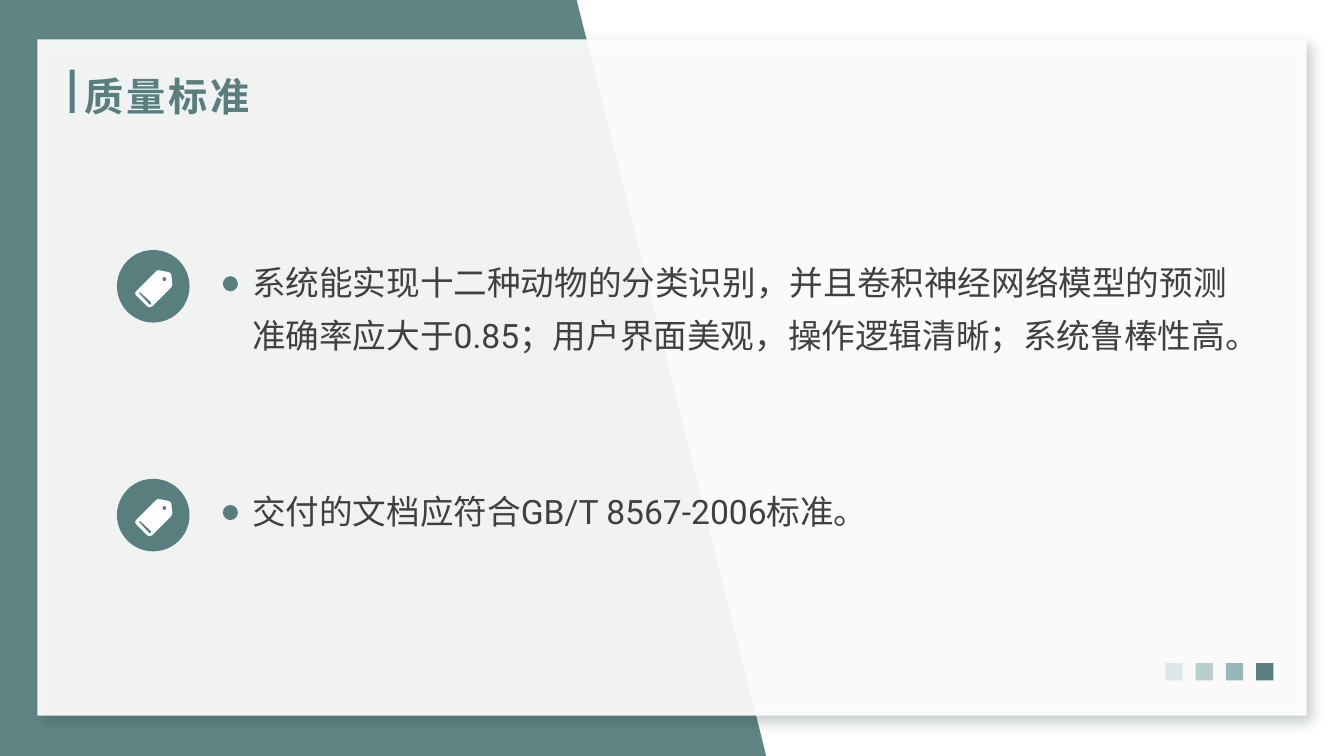
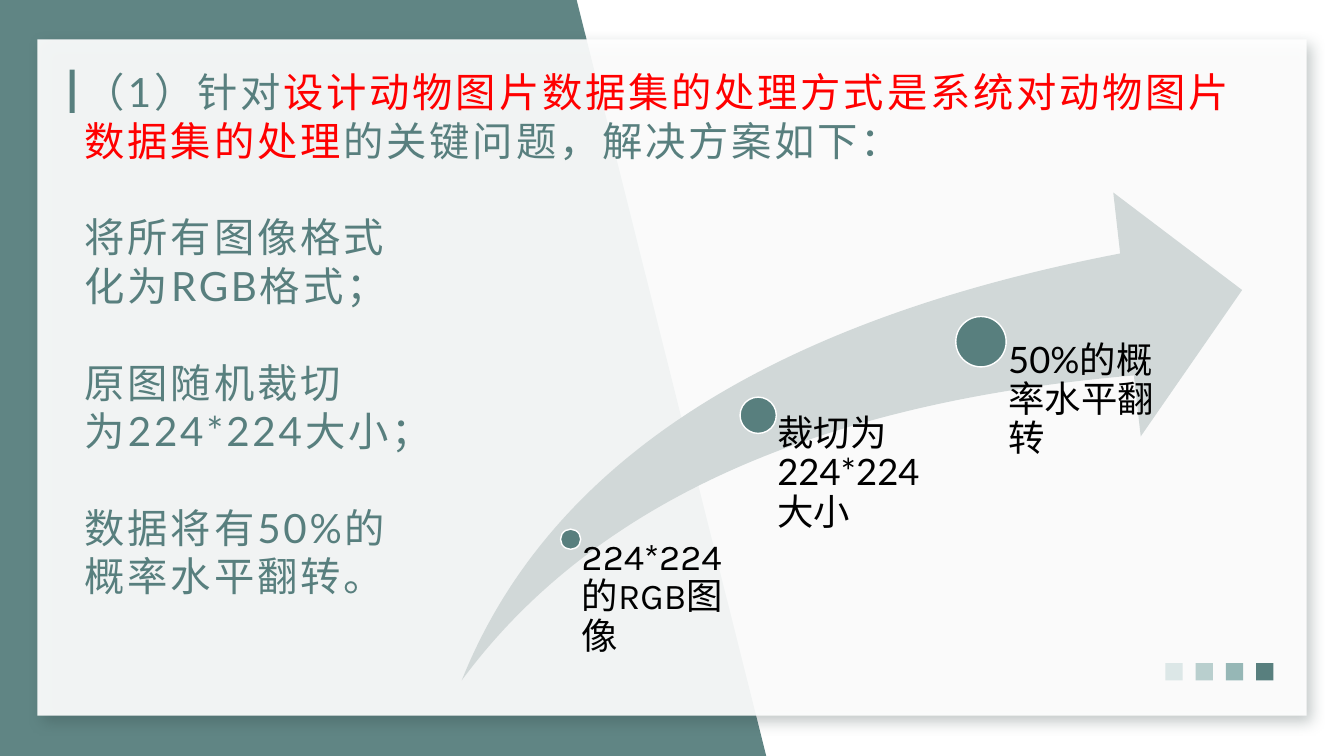
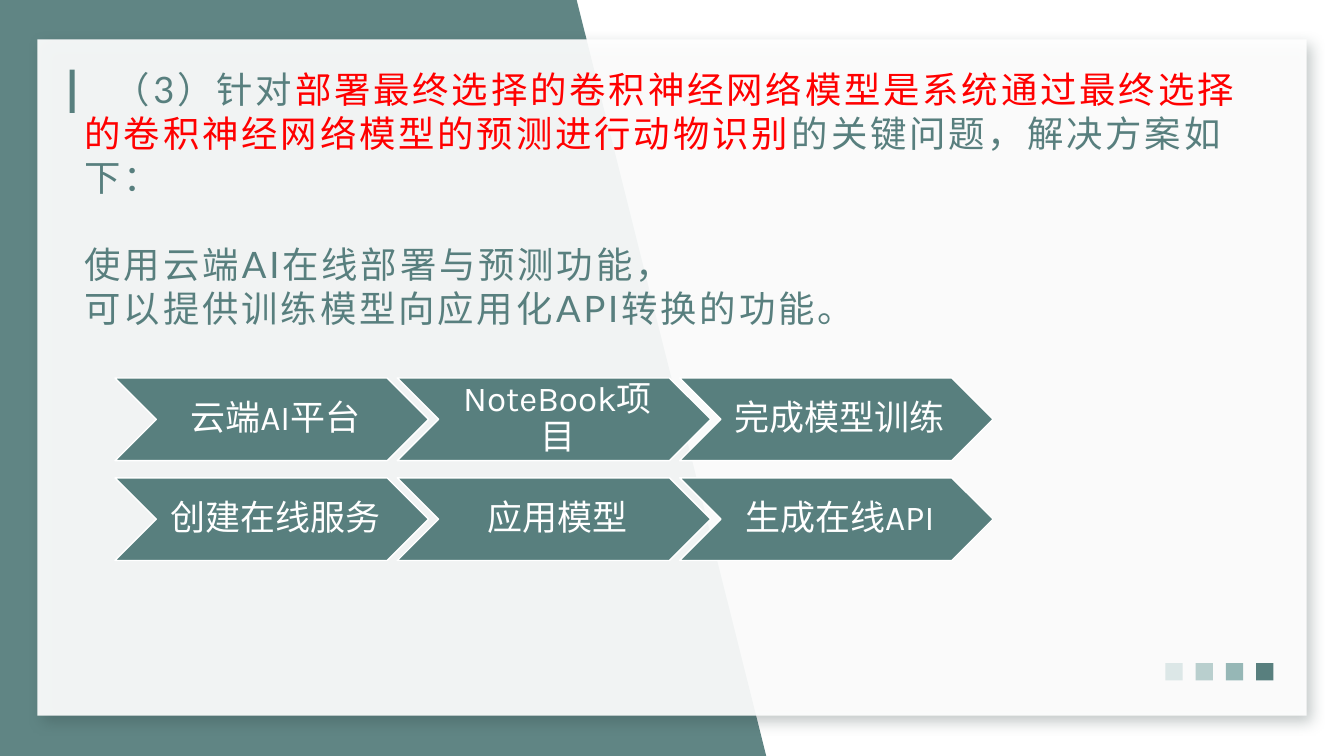
from dataclasses import dataclass

from lxml.etree import SubElement
from pptx import Presentation
from pptx.dml.color import RGBColor
from pptx.enum.shapes import MSO_SHAPE
from pptx.enum.text import MSO_ANCHOR, MSO_AUTO_SIZE, PP_ALIGN
from pptx.oxml.ns import qn
from pptx.util import Inches, Pt


@dataclass(frozen=True)
class Theme:
    teal: str = "587F7E"
    mid_teal: str = "96B7B6"
    soft_teal: str = "B9CFCE"
    pale_teal: str = "DCE7E7"
    arrow: str = "D1D8D8"
    shadow: str = "2C403F"
    white: str = "FFFFFF"
    black: str = "000000"
    body: str = "404040"
    red: str = "FF0000"
    title_font: str = "Lato"
    body_font: str = "Roboto"
    step_font: str = "Karla"
    title_size: float = 28
    body_size: float = 24
    label_size: float = 26
    step_size: float = 25


theme = Theme()


def paint(shape, fill, opacity=100, line=None):
    shape.shadow.inherit = False
    shape.fill.solid()
    shape.fill.fore_color.rgb = RGBColor.from_string(fill)
    if opacity < 100:
        color = shape.element.spPr.find(qn("a:solidFill"))[0]
        SubElement(color, qn("a:alpha"), val=str(opacity * 1000))
    if line:
        shape.line.color.rgb = RGBColor.from_string(line)
        shape.line.width = Pt(1)
    else:
        shape.line.fill.background()


def add_span(paragraph, text, font, size, color, tracking=0):
    span = paragraph.add_run()
    span.text = text
    span.font.name = font
    span.font.size = Pt(size)
    span.font.color.rgb = RGBColor.from_string(color)
    properties = span.font._element
    SubElement(properties, qn("a:ea"), typeface=font)
    if tracking:
        properties.set("spc", str(tracking * 100))
    return span


deck = Presentation()
deck.slide_width, deck.slide_height = Inches(13.33), Inches(7.5)
layout = deck.slide_layouts[5]
for holder in list(layout.placeholders):
    if holder.placeholder_format.idx != 0:
        holder.element.getparent().remove(holder.element)

pages = [deck.slides.add_slide(layout) for _ in range(3)]
standards, processing, deployment = pages

# Shared backdrop, drawn once and moved to the layout
shapes = standards.shapes
hundredth = Inches(0.01)
backdrop = []
for color, corners in [
    (theme.white, [(304, 0), (1333, 0), (1333, 750), (304, 750)]),
    (theme.teal, [(0, 0), (572, 0), (760, 750), (0, 750)]),
]:
    builder = shapes.build_freeform(*corners[0], scale=hundredth)
    builder.add_line_segments(corners[1:], close=True)
    panel = builder.convert_to_shape()
    paint(panel, color, 95)
    backdrop.append(panel)

card = shapes.add_shape(MSO_SHAPE.RECTANGLE, Inches(0.37), Inches(0.39), Inches(12.59), Inches(6.71))
paint(card, theme.white, 92)
shadow = SubElement(card.element.spPr.find(qn("a:effectLst")), qn("a:outerShdw"),
                    blurRad=str(Pt(10)), dist=str(Pt(6)), dir=str(45 * 60000), algn="tl", rotWithShape="0")
shadow_color = SubElement(shadow, qn("a:srgbClr"), val=theme.shadow)
SubElement(shadow_color, qn("a:alpha"), val="30000")
backdrop.append(card)

for index, color in enumerate([theme.pale_teal, theme.soft_teal, theme.mid_teal, theme.teal]):
    square = shapes.add_shape(MSO_SHAPE.RECTANGLE, Inches(11.56 + index * 0.3), Inches(6.58),
                              Inches(0.17), Inches(0.17))
    paint(square, color)
    backdrop.append(square)

title_bar = shapes.add_shape(MSO_SHAPE.RECTANGLE, Inches(0.69), Inches(0.69), Inches(0.05), Inches(0.43))
paint(title_bar, theme.teal)
backdrop.append(title_bar)

for index, shape in enumerate(backdrop):
    shape.element.nvSpPr.cNvPr.set("id", str(100 + index))
    layout.shapes.element.insert(2 + index, shape.element)

# Titles: each paragraph is (starts a new block, spans)
teal, red = theme.teal, theme.red
titles = [
    (standards, (0.74, 0.71, 5.26, 0.48), theme.title_size, [
        (False, [("质量标准", teal)]),
    ]),
    (processing, (0.74, 0.62, 11.78, 6.04), 28.8, [
        (False, [("（1）针对", teal),
                 ("设计动物图片数据集的处理方式是系统对动物图片数据集的处理", red),
                 ("的关键问题，解决方案如下：", teal)]),
        (True, [("将所有图像格式", teal)]),
        (False, [("化为RGB格式；", teal)]),
        (True, [("原图随机裁切", teal)]),
        (False, [("为224*224大小；", teal)]),
        (True, [("数据将有50%的", teal)]),
        (False, [("概率水平翻转。", teal)]),
    ]),
    (deployment, (0.74, 0.62, 11.78, 6.04), 26, [
        (False, [("（3）针对", teal),
                 ("部署最终选择的卷积神经网络模型是系统通过最终选择的卷积神经网络模型的预测进行动物识别", red),
                 ("的关键问题，解决方案如下：", teal)]),
        (True, [("使用云端AI在线部署与预测功能，", teal)]),
        (False, [("可以提供训练模型向应用化API转换的功能。", teal)]),
    ]),
]
for page, place, size, lines in titles:
    title = page.shapes.title
    title.left, title.top, title.width, title.height = map(Inches, place)
    frame = title.text_frame
    frame.word_wrap = True
    frame.auto_size = MSO_AUTO_SIZE.NONE
    frame.vertical_anchor = MSO_ANCHOR.MIDDLE if page is standards else MSO_ANCHOR.TOP
    for index, (new_block, spans) in enumerate(lines):
        paragraph = frame.add_paragraph() if index else frame.paragraphs[0]
        paragraph.alignment = PP_ALIGN.LEFT
        if new_block:
            paragraph.space_before = Pt(size * 1.2)
        for text, color in spans:
            span = add_span(paragraph, text, theme.title_font, size, color, tracking=2)
            span.font.bold = page is standards
deployment.shapes.title.text_frame.paragraphs[0]._p.get_or_add_pPr().set("indent", str(Inches(0.29)))

# Quality standards: tag badge, bullet dot and text
tag_contours = [
    [(37, 14), (36, 5), (35, 3), (33, 2), (23, 0), (21, 1), (1, 21), (0, 23),
     (1, 25), (12, 36), (14, 37), (17, 36), (36, 17)],
    [(16, 34), (14, 34), (4, 23), (4, 22), (5, 22), (16, 32)],
    [(28, 7), (30, 7), (31, 9), (30, 11), (28, 11), (27, 9)],
]
for top, height, text in [
    (2.48, 1.01, "系统能实现十二种动物的分类识别，并且卷积神经网络模型的预测准确率应大于0.85；"
                 "用户界面美观，操作逻辑清晰；系统鲁棒性高。"),
    (4.75, 0.48, "交付的文档应符合GB/T 8567-2006标准。"),
]:
    for left, offset, diameter in [(1.16, 0, 0.72), (2.21, 0.26, 0.15)]:
        circle = shapes.add_shape(MSO_SHAPE.OVAL, Inches(left), Inches(top + offset),
                                  Inches(diameter), Inches(diameter))
        paint(circle, theme.teal)
    builder = shapes.build_freeform(*tag_contours[0][0], scale=hundredth)
    for index, contour in enumerate(tag_contours):
        if index:
            builder.move_to(*contour[0])
        builder.add_line_segments(contour[1:], close=True)
    tag = builder.convert_to_shape(Inches(1.34), Inches(top + 0.2))
    paint(tag, theme.white)

    box = shapes.add_textbox(Inches(2.5), Inches(top), Inches(9.83), Inches(height))
    frame = box.text_frame
    frame.word_wrap = True
    frame.margin_left = frame.margin_top = frame.margin_right = frame.margin_bottom = 0
    paragraph = frame.paragraphs[0]
    paragraph.line_spacing = 1.3
    add_span(paragraph, text, theme.body_font, theme.body_size, theme.body)

# Image processing: rising arrow with three milestones
shapes = processing.shapes
swoosh = shapes.add_shape(MSO_SHAPE.SWOOSH_ARROW, Inches(4.58), Inches(1.91), Inches(7.74), Inches(4.84))
swoosh.adjustments[0] = swoosh.adjustments[1] = 0.25
paint(swoosh, theme.arrow)
arrow_bottom = 6.75
for center_x, center_y, diameter, width, inset, font, text in [
    (5.66, 5.35, 0.2, 1.8, 0.11, theme.step_font, "224*224的RGB图像"),
    (7.52, 4.12, 0.36, 1.86, 0.19, theme.title_font, "裁切为224*224大小"),
    (9.73, 3.39, 0.5, 1.86, 0.27, theme.title_font, "50%的概率水平翻转"),
]:
    milestone = shapes.add_shape(MSO_SHAPE.OVAL, Inches(center_x - diameter / 2), Inches(center_y - diameter / 2),
                                 Inches(diameter), Inches(diameter))
    paint(milestone, theme.teal, line=theme.white)
    label = shapes.add_textbox(Inches(center_x), Inches(center_y), Inches(width), Inches(arrow_bottom - center_y))
    frame = label.text_frame
    frame.word_wrap = True
    frame.margin_left = Inches(inset)
    frame.margin_top = frame.margin_right = frame.margin_bottom = 0
    paragraph = frame.paragraphs[0]
    paragraph.line_spacing = 0.9
    add_span(paragraph, text, font, theme.label_size, theme.black)

# Deployment: two rows of three chevron steps
steps = [
    ["云端AI平台", "NoteBook项目", "完成模型训练"],
    ["创建在线服务", "应用模型", "生成在线API"],
]
for row, names in enumerate(steps):
    for column, name in enumerate(names):
        chevron = deployment.shapes.add_shape(MSO_SHAPE.CHEVRON, Inches(1.14 + column * 2.8),
                                              Inches(3.75 + row * 0.99), Inches(3.11), Inches(0.82))
        paint(chevron, theme.teal, line=theme.white)
        frame = chevron.text_frame
        frame.word_wrap = True
        frame.vertical_anchor = MSO_ANCHOR.MIDDLE
        frame.margin_left = Inches(0.11)
        frame.margin_top = frame.margin_right = frame.margin_bottom = Inches(0.04)
        paragraph = frame.paragraphs[0]
        paragraph.alignment = PP_ALIGN.CENTER
        paragraph.line_spacing = 0.9
        add_span(paragraph, name, theme.step_font, theme.step_size, theme.white)

deck.save("out.pptx")
